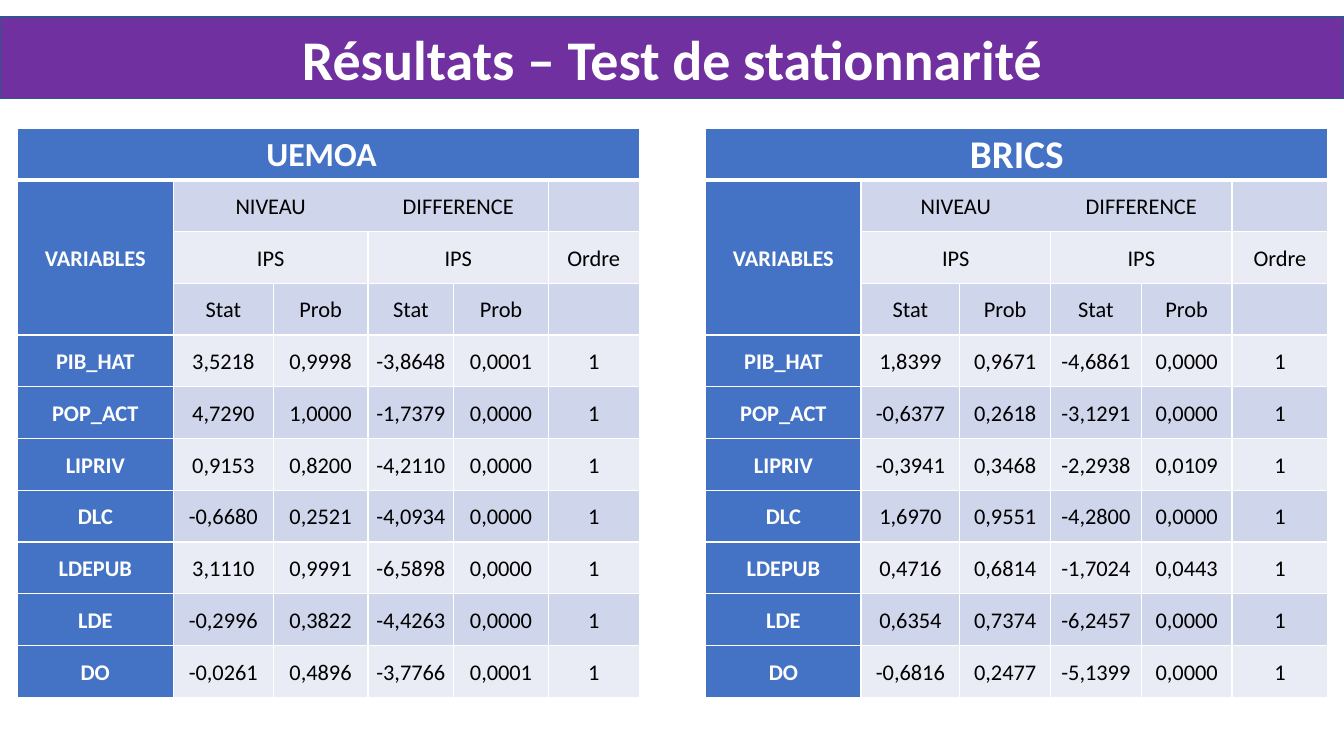
from lxml.etree import SubElement
from pptx import Presentation
from pptx.dml.color import RGBColor
from pptx.enum.shapes import MSO_SHAPE
from pptx.enum.text import MSO_ANCHOR, PP_ALIGN
from pptx.oxml.ns import qn
from pptx.util import Inches, Pt

PURPLE = RGBColor(0x70, 0x30, 0xA0)
NAVY = RGBColor(0x32, 0x54, 0x91)
BLUE = RGBColor(0x44, 0x72, 0xC4)
DARK_BAND = RGBColor(0xCF, 0xD5, 0xEA)
LIGHT_BAND = RGBColor(0xE9, 0xEB, 0xF5)
WHITE = RGBColor(0xFF, 0xFF, 0xFF)
BLACK = RGBColor(0x00, 0x00, 0x00)

VARIABLES = ["PIB_HAT", "POP_ACT", "LIPRIV", "DLC", "LDEPUB", "LDE", "DO"]
HEADER_ROWS = [
    ["VARIABLES", "\tNIVEAU\tDIFFERENCE", "", "", "", ""],
    ["", "IPS", "", "IPS", "", "Ordre"],
    ["", "Stat", "Prob", "Stat", "Prob", ""],
]
MERGES = [(0, 0, 0, 5), (1, 0, 3, 0), (1, 1, 1, 4), (2, 1, 2, 2), (2, 3, 2, 4)]
UEMOA = [
    ["3,5218", "0,9998", "-3,8648", "0,0001", "1"],
    ["4,7290", "1,0000", "-1,7379", "0,0000", "1"],
    ["0,9153", "0,8200", "-4,2110", "0,0000", "1"],
    ["-0,6680", "0,2521", "-4,0934", "0,0000", "1"],
    ["3,1110", "0,9991", "-6,5898", "0,0000", "1"],
    ["-0,2996", "0,3822", "-4,4263", "0,0000", "1"],
    ["-0,0261", "0,4896", "-3,7766", "0,0001", "1"],
]
BRICS = [
    ["1,8399", "0,9671", "-4,6861", "0,0000", "1"],
    ["-0,6377", "0,2618", "-3,1291", "0,0000", "1"],
    ["-0,3941", "0,3468", "-2,2938", "0,0109", "1"],
    ["1,6970", "0,9551", "-4,2800", "0,0000", "1"],
    ["0,4716", "0,6814", "-1,7024", "0,0443", "1"],
    ["0,6354", "0,7374", "-6,2457", "0,0000", "1"],
    ["-0,6816", "0,2477", "-5,1399", "0,0000", "1"],
]


class StationaritySlide:
    """Hold the style and the current slide of the stationarity results."""

    font = "Calibri"
    inset = 0.05
    table_top, table_height = 1.27, 5.65

    def __init__(self, deck):
        self.slide = deck.slides.add_slide(deck.slide_layouts[6])

    def label(self, paragraph, text, size, color, bold):
        paragraph.text = text
        paragraph.alignment = PP_ALIGN.CENTER
        for run in paragraph.runs:
            run.font.name = self.font
            run.font.size = Pt(size)
            run.font.bold = bold
            run.font.color.rgb = color

    def banner(self, text):
        banner = self.slide.shapes.add_shape(
            MSO_SHAPE.RECTANGLE, 0, Inches(0.17), Inches(13.33), Inches(0.81))
        banner.shadow.inherit = False
        banner.fill.solid()
        banner.fill.fore_color.rgb = PURPLE
        banner.line.color.rgb = NAVY
        banner.line.width = Pt(1)
        banner.text_frame.vertical_anchor = MSO_ANCHOR.MIDDLE
        self.label(banner.text_frame.paragraphs[0], text, 40, WHITE, True)

    def borders(self, cell, row):
        widths = {"a:lnL": 1, "a:lnR": 1, "a:lnT": 3 if row == 1 else 1,
                  "a:lnB": 3 if row == 0 else 1}
        properties = cell._tc.get_or_add_tcPr()
        for side, width in widths.items():
            edge = SubElement(properties, qn(side), w=str(Pt(width)))
            fill = SubElement(edge, qn("a:solidFill"))
            SubElement(fill, qn("a:srgbClr"), val=str(WHITE))

    def cell(self, cell, row, column, text, size):
        self.borders(cell, row)
        heading = row == 0 or column == 0
        cell.fill.solid()
        cell.fill.fore_color.rgb = (
            BLUE if heading else DARK_BAND if row % 2 else LIGHT_BAND)
        cell.vertical_anchor = MSO_ANCHOR.MIDDLE
        cell.margin_left = cell.margin_right = Inches(self.inset)
        cell.margin_top = cell.margin_bottom = 0
        if text:
            paragraph = cell.text_frame.paragraphs[0]
            self.label(paragraph, text, size, WHITE if heading else BLACK, heading)
            paragraph.line_spacing = 1.07

    def center_tabs(self, cell, centers):
        paragraph = cell.text_frame.paragraphs[0]
        paragraph.alignment = PP_ALIGN.LEFT
        stops = SubElement(paragraph._p.get_or_add_pPr(), qn("a:tabLst"))
        for center in centers:
            position = Inches(center - self.inset)
            SubElement(stops, qn("a:tab"), pos=str(position), algn="ctr")

    def results(self, group, values, left, widths, group_size, group_shift=0):
        body = [[name, *figures] for name, figures in zip(VARIABLES, values)]
        rows = [[group] + [""] * 5, *HEADER_ROWS, *body]
        table = self.slide.shapes.add_table(
            len(rows), len(widths), Inches(left), Inches(self.table_top),
            Inches(sum(widths)), Inches(self.table_height)).table
        table.horz_banding = False
        for column, width in zip(table.columns, widths):
            column.width = Inches(width)
        for r, texts in enumerate(rows):
            table.rows[r].height = Inches(self.table_height / len(rows))
            for c, text in enumerate(texts):
                self.cell(table.cell(r, c), r, c, text, 16 if r else group_size)
        for top, first, bottom, last in MERGES:
            table.cell(top, first).merge(table.cell(bottom, last))
        table.cell(0, 0).margin_right = Inches(self.inset + group_shift)
        level, difference = sum(widths[1:3]), sum(widths[3:5])
        self.center_tabs(table.cell(1, 1), [level / 2, level + difference / 2])


def main():
    deck = Presentation()
    deck.slide_width, deck.slide_height = Inches(13.33), Inches(7.5)
    page = StationaritySlide(deck)
    page.banner("Résultats – Test de stationnarité")
    page.results("BRICS", BRICS, 7, [1.54, 0.98, 0.9, 0.9, 0.9, 0.95], 28)
    page.results("UEMOA", UEMOA, 0.17, [1.55, 0.99, 0.94, 0.85, 0.94, 0.9], 24, 0.13)
    deck.save("out.pptx")


if __name__ == "__main__":
    main()
